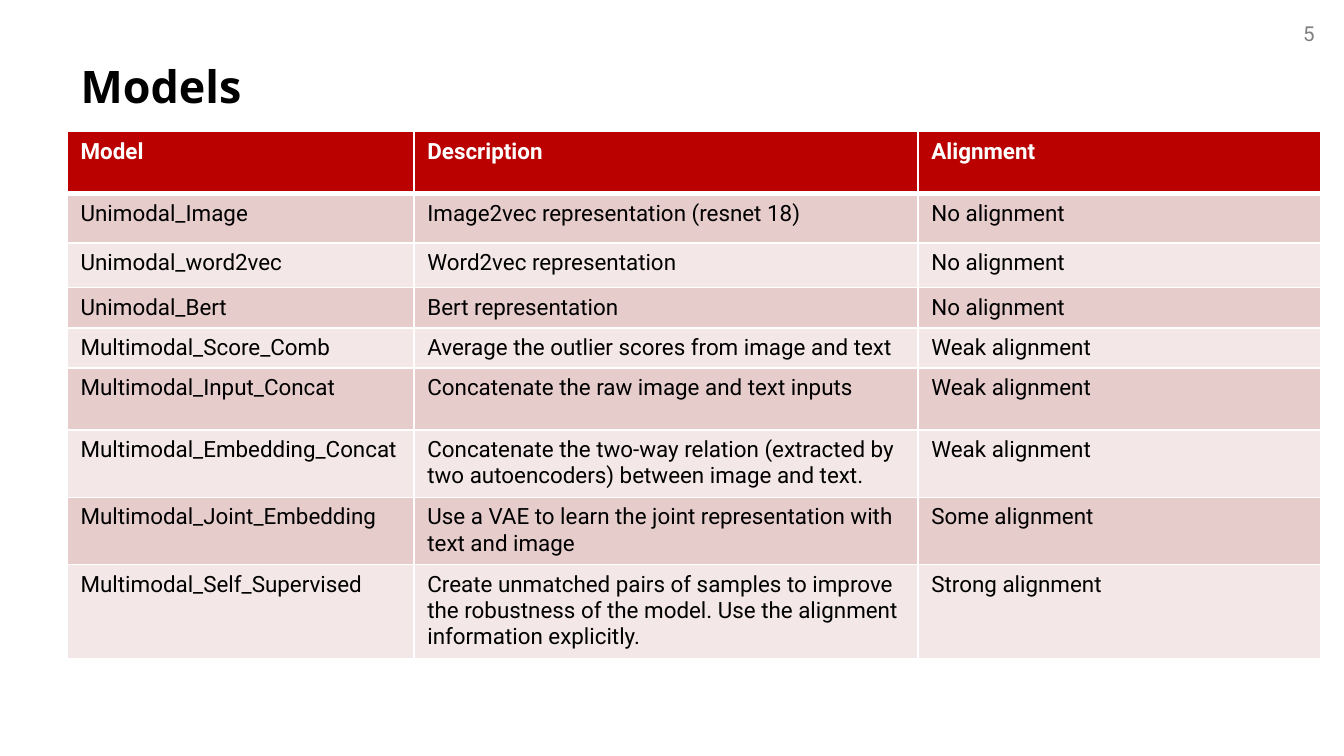
from lxml.etree import SubElement
from pptx import Presentation
from pptx.dml.color import RGBColor
from pptx.enum.text import MSO_ANCHOR, PP_ALIGN
from pptx.oxml.ns import qn
from pptx.util import Inches, Pt

COLORS = {
    "header": "BB0000",
    "band_dark": "E7CCCC",
    "band_light": "F3E7E7",
    "white": "FFFFFF",
    "black": "000000",
    "gray": "808080",
}
COL_WIDTHS = [2.58, 3.75, 3]
# Minimum heights: rows with more text grow to fit
ROW_HEIGHTS = [0.46, 0.37, 0.33, 0.25, 0.28, 0.46, 0.19, 0.46, 0.46]
ROWS = [
    ("Model", "Description", "Alignment"),
    ("Unimodal_Image", "Image2vec representation (resnet 18)", "No alignment"),
    ("Unimodal_word2vec", "Word2vec representation", "No alignment"),
    ("Unimodal_Bert", "Bert representation", "No alignment"),
    ("Multimodal_Score_Comb", "Average the outlier scores from image and text", "Weak alignment"),
    ("Multimodal_Input_Concat", "Concatenate the raw image and text inputs", "Weak alignment"),
    ("Multimodal_Embedding_Concat",
     "Concatenate the two-way relation (extracted by two autoencoders) between image and text.",
     "Weak alignment"),
    ("Multimodal_Joint_Embedding",
     "Use a VAE to learn the joint representation with text and image", "Some alignment"),
    ("Multimodal_Self_Supervised",
     "Create unmatched pairs of samples to improve the robustness of the model. "
     "Use the alignment information explicitly.", "Strong alignment"),
]


def add_run(p, text, size, font, color, bold=False):
    r = p.add_run()
    r.text = text
    r.font.size = Pt(size)
    r.font.name = font
    r.font.bold = bold
    r.font.color.rgb = RGBColor.from_string(COLORS[color])


def set_borders(cell, bottom_width, top_width):
    """Draw white cell borders; must run before the cell's fill is set."""
    tc_pr = cell._tc.get_or_add_tcPr()
    for side, width in (("L", 1), ("R", 1), ("T", top_width), ("B", bottom_width)):
        ln = SubElement(tc_pr, qn(f"a:ln{side}"), w=str(Pt(width)))
        fill = SubElement(ln, qn("a:solidFill"))
        SubElement(fill, qn("a:srgbClr"), val=COLORS["white"])


prs = Presentation()
prs.slide_width = Inches(10)
prs.slide_height = Inches(10) * 9 // 16
s = prs.slides.add_slide(prs.slide_layouts[5])

# Title
title = s.shapes.title
title.left, title.top = Inches(0.5), Inches(0.4)
title.width, title.height = Inches(9), Inches(0.67)
tf = title.text_frame
tf.vertical_anchor = MSO_ANCHOR.TOP
tf.margin_top = Inches(0.04)
p = tf.paragraphs[0]
p.alignment = PP_ALIGN.LEFT
add_run(p, "Models", 24, "Open Sans", "black", bold=True)

# Page number
number = s.shapes.add_textbox(Inches(9.33), Inches(0.11), Inches(0.55), Inches(0.29))
tf = number.text_frame
tf.word_wrap = True
p = tf.paragraphs[0]
p.alignment = PP_ALIGN.RIGHT
add_run(p, "5", 11, "Roboto", "gray")

# Table of models
frame = s.shapes.add_table(len(ROWS), len(COL_WIDTHS), Inches(0.5), Inches(0.98),
                           Inches(sum(COL_WIDTHS)), Inches(3.93))
table = frame.table
for column, width in zip(table.columns, COL_WIDTHS):
    column.width = Inches(width)
for row, height in zip(table.rows, ROW_HEIGHTS):
    row.height = Inches(height)
frame.height = Inches(3.93)

for i, texts in enumerate(ROWS):
    header = i == 0
    band = "header" if header else "band_dark" if i % 2 else "band_light"
    for j, text in enumerate(texts):
        cell = table.cell(i, j)
        set_borders(cell, bottom_width=3 if header else 1, top_width=3 if i == 1 else 1)
        cell.fill.solid()
        cell.fill.fore_color.rgb = RGBColor.from_string(COLORS[band])
        add_run(cell.text_frame.paragraphs[0], text, 12, "Roboto",
                "white" if header else "black", bold=header)

prs.save("out.pptx")
